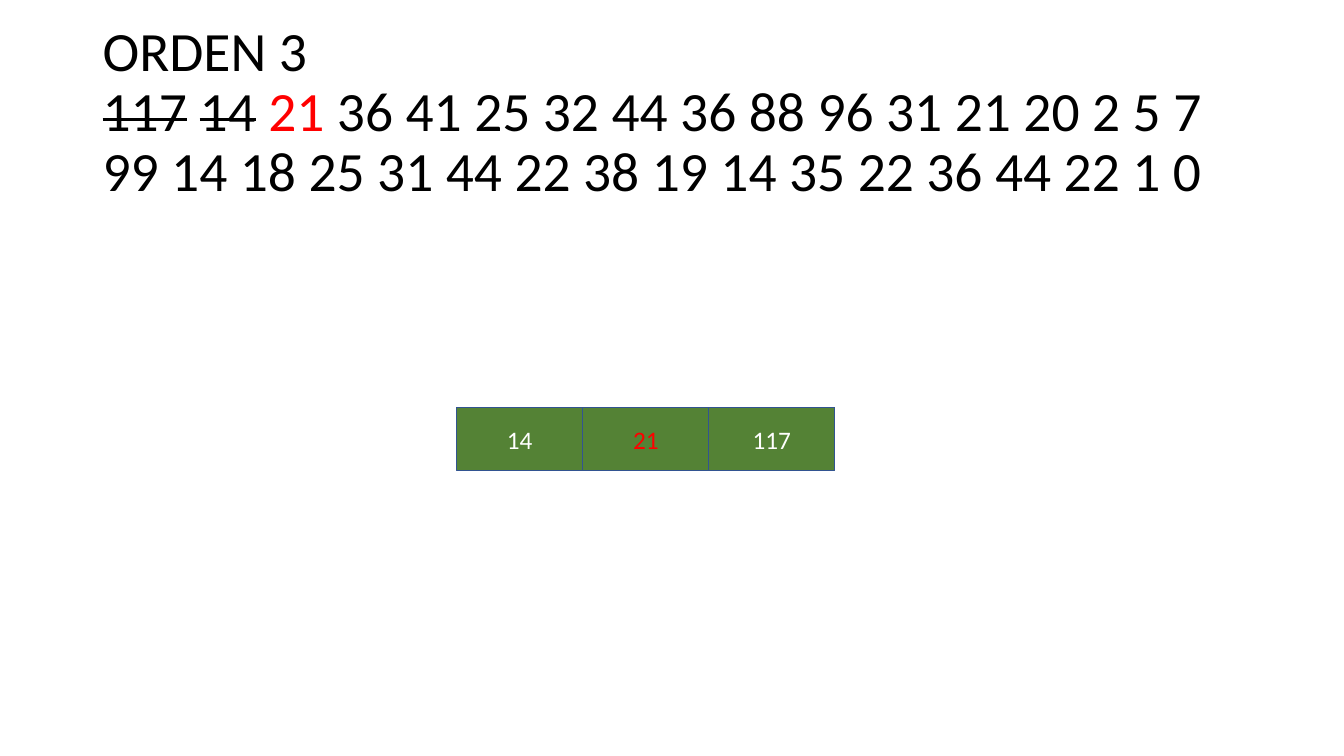
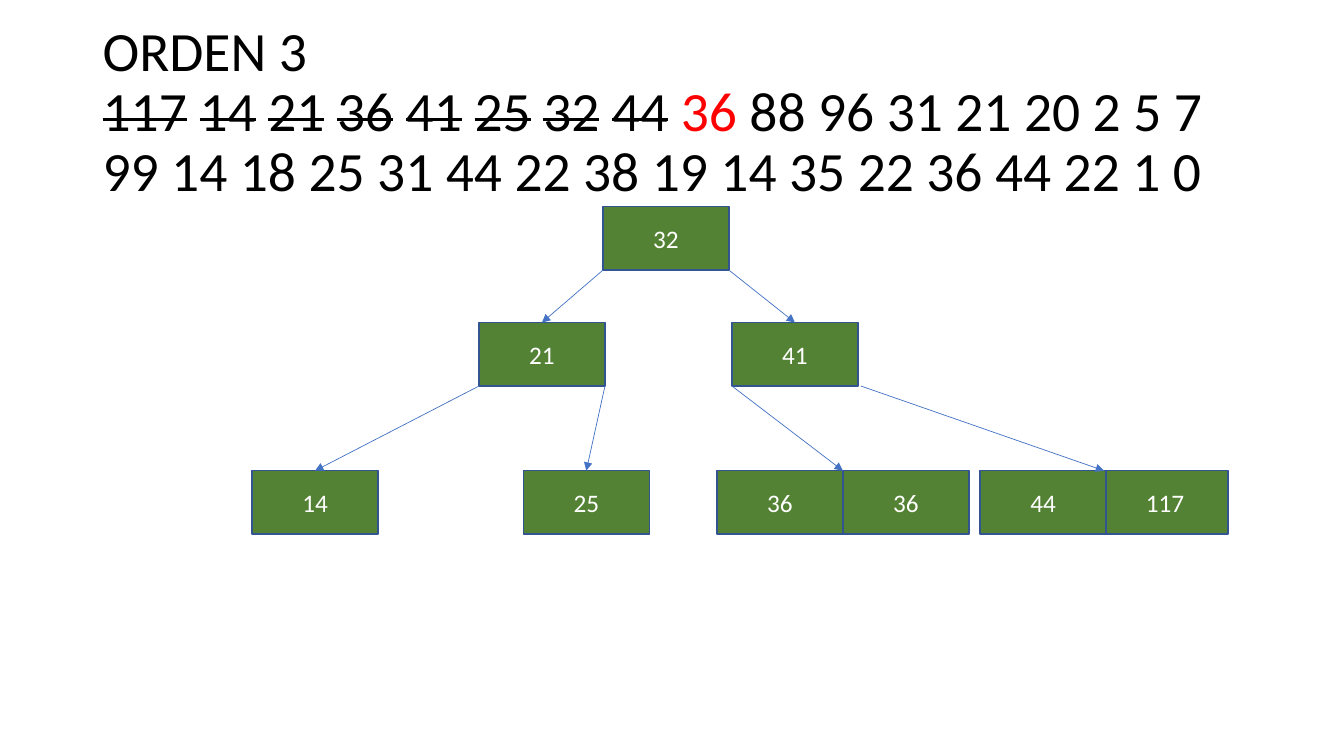
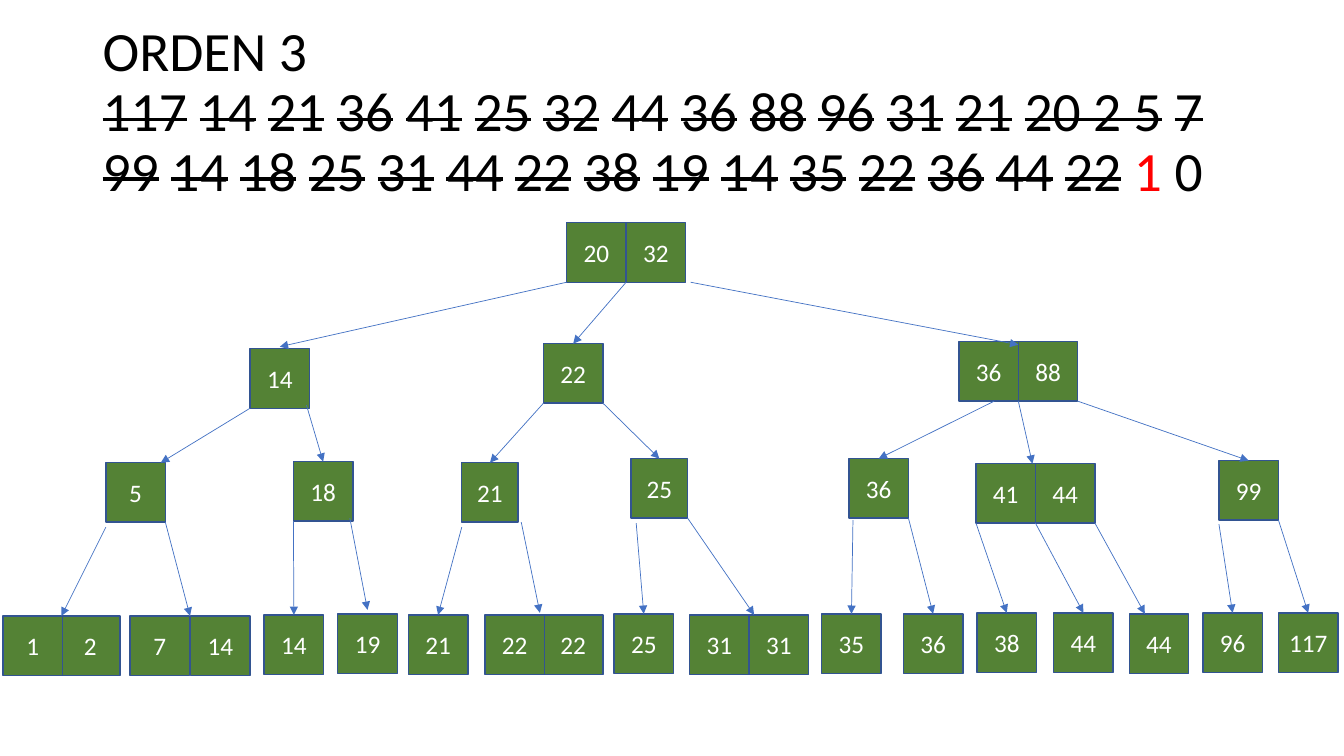
from dataclasses import dataclass

from lxml import etree
from pptx import Presentation
from pptx.dml.color import RGBColor
from pptx.enum import shapes, text
from pptx.oxml import ns
from pptx.util import Inches, Pt


@dataclass(frozen=True)
class Theme:
    font: str = "Calibri"
    ink: str = "000000"
    hot: str = "FF0000"
    pale: str = "FFFFFF"
    cell: str = "548235"
    edge: str = "325491"
    link: str = "4472C4"
    head: float = 39.6
    body: float = 18


@dataclass
class Node:
    """Keys side by side; out and hit shift the ends of the arrow from the parent."""
    keys: str
    x: float
    y: float
    kids: tuple = ()
    step: float = 0
    wide: float = 0
    out: tuple = (0, 0)
    hit: tuple = (0, 0)


THEME = Theme()
HEAD = (0.92, 0.4, 11.5, 1.45)
LARGE = (1.25, 0.63)
SMALL = (0.59, 0.59)
QUEUE = ("117 14 21 36 41 25 32 44 36 88 96 31 21 20 2 5 7 "
         "99 14 18 25 31 44 22 38 19 14 35 22 36 44 22 1 0").split()


def rgb(code):
    return RGBColor.from_string(code)


def style(run, size, color):
    run.font.name = THEME.font
    run.font.size = Pt(size)
    run.font.color.rgb = rgb(color)


def title(slide, box, done, tied=()):
    """Strike the first done keys and redden the next; tied keys also strike the gap after."""
    frame = slide.shapes.add_textbox(*map(Inches, box)).text_frame
    frame.word_wrap = True
    frame.vertical_anchor = text.MSO_ANCHOR.MIDDLE
    para = frame.paragraphs[0]
    para.line_spacing = 0.9

    def add(words, color=THEME.ink, struck=False):
        run = para.add_run()
        run.text = words
        style(run, THEME.head, color)
        if struck:
            run.font._element.set("strike", "sngStrike")

    add("ORDEN 3")
    para.add_line_break()
    for i, key in enumerate(QUEUE[:done]):
        if i in tied:
            add(key + " ", struck=True)
        else:
            add(key, struck=True)
            add(" ")
    add(QUEUE[done], THEME.hot)
    add(" " + " ".join(QUEUE[done + 1:]))


def cell(slide, box, key, color):
    shape = slide.shapes.add_shape(shapes.MSO_SHAPE.RECTANGLE, *map(Inches, box))
    shape.shadow.inherit = False
    shape.fill.solid()
    shape.fill.fore_color.rgb = rgb(THEME.cell)
    shape.line.color.rgb = rgb(THEME.edge)
    shape.line.width = Pt(1)
    frame = shape.text_frame
    frame.text = key
    frame.word_wrap = False
    frame.vertical_anchor = text.MSO_ANCHOR.MIDDLE
    para = frame.paragraphs[0]
    para.alignment = text.PP_ALIGN.CENTER
    style(para.runs[0], THEME.body, color)


def arrow(slide, start, end):
    line = slide.shapes.add_connector(
        shapes.MSO_CONNECTOR.STRAIGHT, *map(Inches, (*start, *end)))
    line.line.color.rgb = rgb(THEME.link)
    line.line.width = Pt(0.5)
    tip = etree.SubElement(line.line._get_or_add_ln(), ns.qn("a:tailEnd"))
    tip.set("type", "triangle")
    etree.SubElement(line._element.spPr, ns.qn("a:effectLst"))


def tree(slide, node, size, hot=None):
    """Draw a node, its children below, and an arrow from each key edge to a child."""
    wide, high = node.wide or size[0], size[1]
    step = node.step or wide
    keys = node.keys.split()
    for i, key in reversed(list(enumerate(keys))):
        color = THEME.hot if key == hot else THEME.pale
        cell(slide, (node.x + i * step, node.y, wide, high), key, color)
    for i, kid in enumerate(node.kids):
        tree(slide, kid, size, hot)
        span = kid.wide or size[0]
        mid = kid.x + (span + (len(kid.keys.split()) - 1) * (kid.step or span)) / 2
        arrow(slide,
              (node.x + i * step + kid.out[0], node.y + high + kid.out[1]),
              (mid + kid.hit[0], kid.y + kid.hit[1]))


FIRST = Node("14 21 117", 4.53, 4.04)

SECOND = Node("32", 5.98, 2.05, (
    Node("21", 4.75, 3.2, (
        Node("14", 2.5, 4.67),
        Node("25", 5.19, 4.67))),
    Node("41", 7.26, 3.2, (
        Node("36 36", 7.11, 4.67),
        Node("44 117", 9.72, 4.67, step=1.21, out=(0.03, 0)))),
))

LEFT = Node("14", 2.48, 3.46, hit=(0, -0.02), kids=(
    Node("5", 1.05, 4.59, hit=(0.25, 0), kids=(
        Node("1 2", 0.03, 6.11, step=0.57, out=(0, 0.05)),
        Node("7 14", 1.29, 6.11, step=0.6))),
    Node("18", 2.91, 4.58, out=(-0.03, -0.03), kids=(
        Node("14", 2.62, 6.1),
        Node("19", 3.35, 6.09, out=(-0.03, -0.03), hit=(0, -0.04)))),
))

MIDDLE = Node("22", 5.39, 3.41, (
    Node("21", 4.58, 4.59, wide=0.56, kids=(
        Node("21", 4.05, 6.1, out=(0, 0.05)),
        Node("22 22", 4.81, 6.1, step=0.58, out=(0.03, 0), hit=(-0.04, -0.02)))),
    Node("25", 6.26, 4.55, wide=0.56, kids=(
        Node("25", 6.09, 6.09, out=(0.05, 0.05)),
        Node("31 31", 6.84, 6.1, hit=(0.05, 0)))),
))

RIGHT = Node("36 88", 9.51, 3.39, out=(0.05, 0), hit=(0, 0.03), kids=(
    Node("36", 8.42, 4.55, out=(0.35, 0), kids=(
        Node("35", 8.15, 6.09, out=(0.04, 0.02)),
        Node("36", 8.96, 6.09))),
    Node("41 44", 9.68, 4.6, hit=(-0.03, 0), kids=(
        Node("38", 9.69, 6.08),
        Node("44", 10.45, 6.08),
        Node("44", 11.2, 6.09, hit=(-0.14, 0)))),
    Node("99", 12.09, 4.57, (
        Node("96", 11.93, 6.08, out=(0, 0.04)),
        Node("117", 12.68, 6.08))),
))

THIRD = Node("20 32", 5.62, 2.21, (LEFT, MIDDLE, RIGHT))


def main():
    deck = Presentation()
    deck.slide_width, deck.slide_height = Inches(13.33), Inches(7.5)
    for root, size, done, tied, hot in (
            (FIRST, LARGE, 2, (), "21"),
            (SECOND, LARGE, 8, (), None),
            (THIRD, SMALL, 32, (13, 14), None)):
        slide = deck.slides.add_slide(deck.slide_layouts[6])
        title(slide, HEAD, done, tied)
        tree(slide, root, size, hot)
    deck.save("out.pptx")


if __name__ == "__main__":
    main()
